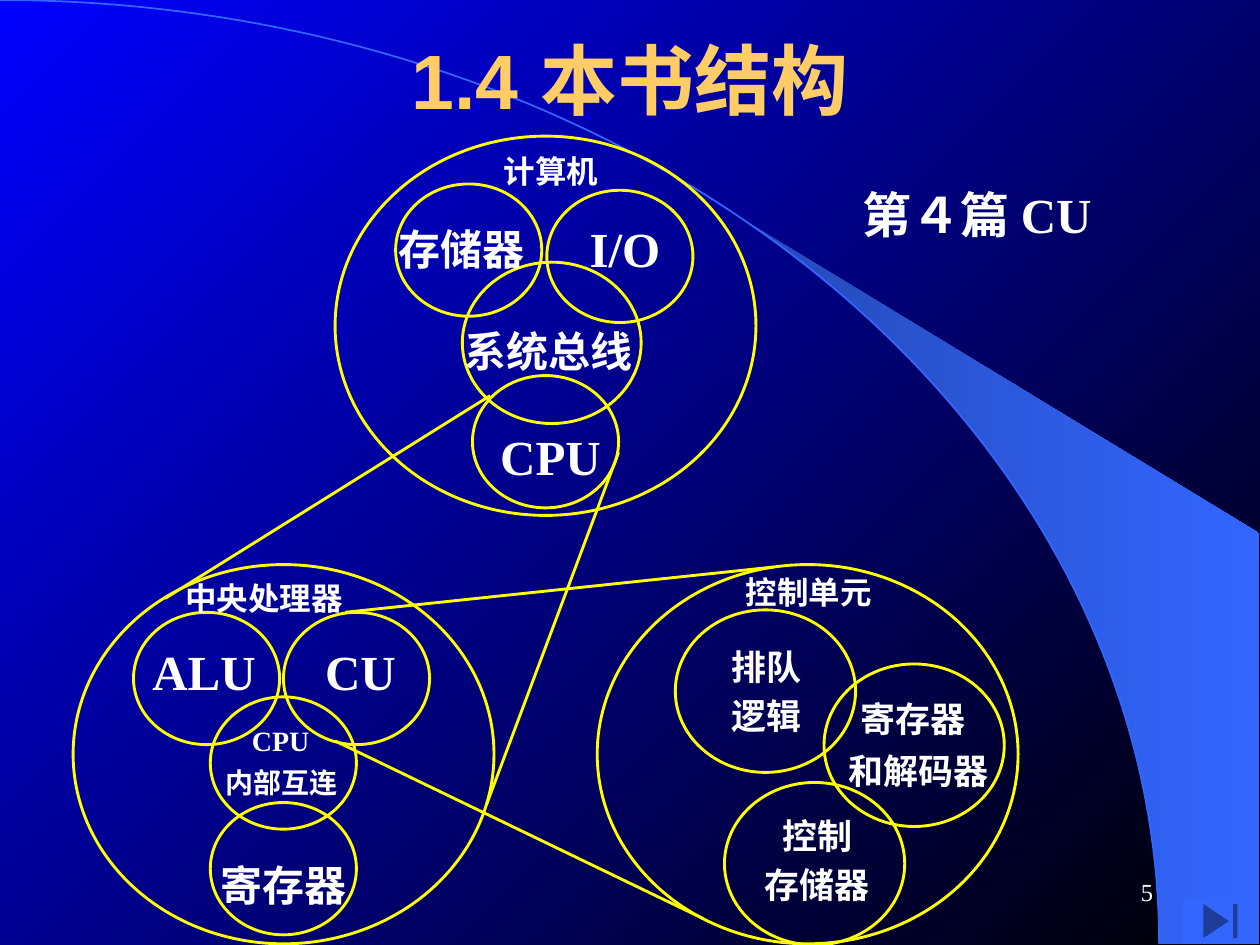
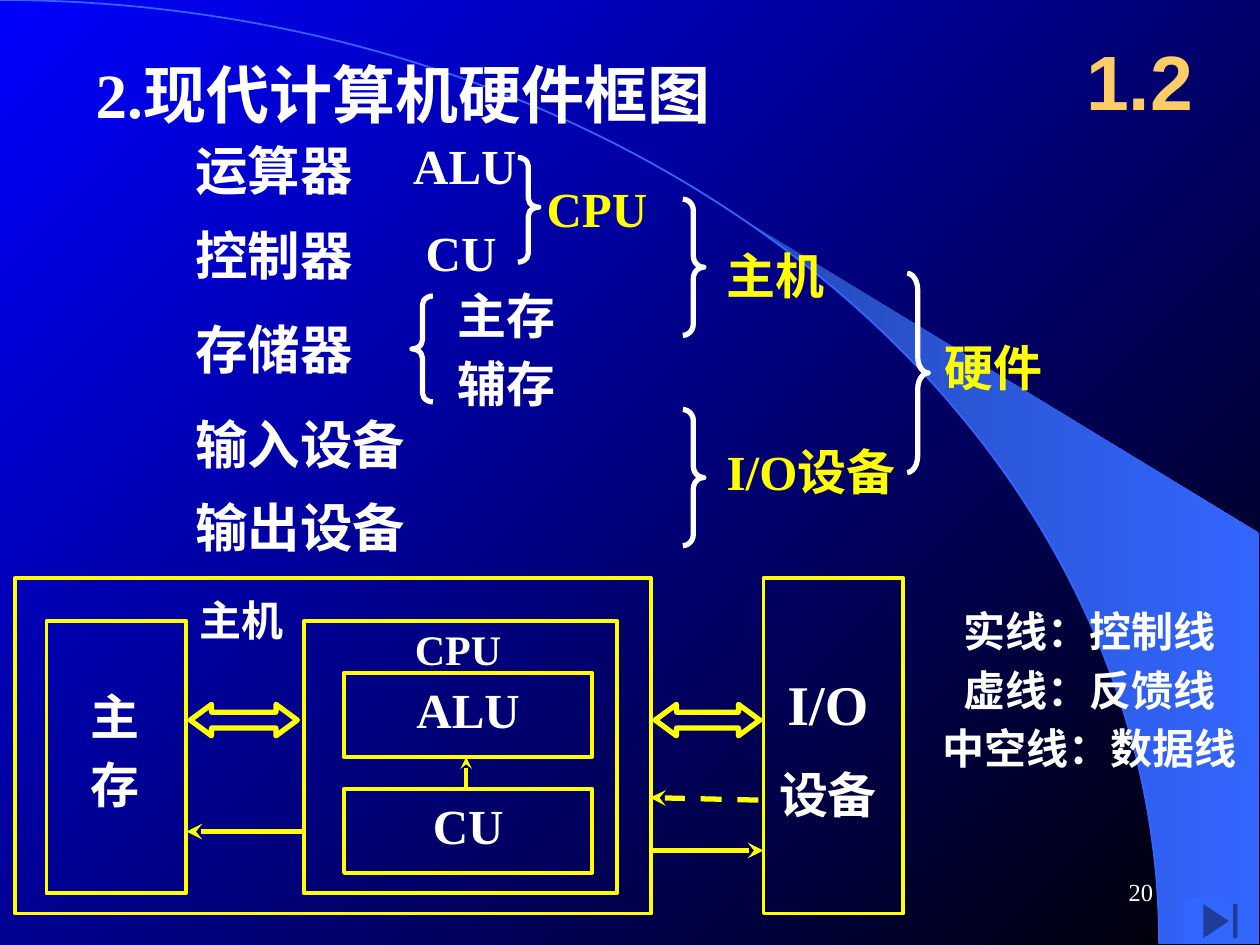
import math
from dataclasses import dataclass
from itertools import groupby
from typing import NamedTuple

from lxml import etree
from pptx import Presentation
from pptx import util as u
from pptx.dml import color
from pptx.enum import dml, shapes, text
from pptx.oxml import ns

BLUE = color.RGBColor(0x00, 0x00, 0xFF)
BLACK = color.RGBColor(0x00, 0x00, 0x00)
DEEP_BLUE = color.RGBColor(0x24, 0x49, 0xB6)
SKY_BLUE = color.RGBColor(0x33, 0x66, 0xFF)
GOLD = color.RGBColor(0xFF, 0xCC, 0x66)
YELLOW = color.RGBColor(0xFF, 0xFF, 0x00)
WHITE = color.RGBColor(0xFF, 0xFF, 0xFF)

SERIF = "Times New Roman"
SANS = "Arial"
HAN = "Noto Sans CJK SC"
HAN_LINE, LATIN_LINE = 1.32, 1.22

CENTER = text.PP_ALIGN.CENTER
LEFT = text.PP_ALIGN.LEFT
RIGHT = text.PP_ALIGN.RIGHT
KIND = shapes.MSO_SHAPE

SLIDE_W, SLIDE_H = 720, 540
ARC_W, ARC_H = 662.4, 539.3
RING_LINE, BLOCK_LINE, HEAVY_LINE = 1.63, 2.13, 3


class Frame(NamedTuple):
    x: float
    y: float
    w: float
    h: float

    def emu(self) -> list[int]:
        return [u.Pt(value) for value in self]


class Link(NamedTuple):
    x1: float
    y1: float
    x2: float
    y2: float
    width: float = RING_LINE
    arrow: bool = False
    dashed: bool = False


class Block(NamedTuple):
    frame: Frame
    caption: str = ""


class Brace(NamedTuple):
    kind: KIND
    x: float
    y: float
    h: float
    tip: float = 0.5


@dataclass(frozen=True)
class Label:
    frame: Frame
    lines: tuple[str, ...]
    size: float
    align: text.PP_ALIGN = LEFT
    ink: color.RGBColor = WHITE
    latin: str = SERIF
    bold: bool = True
    wrap: bool = False
    inset: bool = False
    middle: bool = False
    gap: float = 0.07


def title_label(frame: Frame, words: str) -> Label:
    return Label(frame, (words,), 44, CENTER, GOLD, SANS, wrap=True, inset=True, middle=True)


def write(shape, label: Label) -> None:
    box = shape.text_frame
    box.auto_size = text.MSO_AUTO_SIZE.NONE
    box.word_wrap = label.wrap
    box.vertical_anchor = text.MSO_ANCHOR.MIDDLE if label.middle else text.MSO_ANCHOR.TOP
    box.margin_left = box.margin_right = u.Pt(7.2 if label.inset else 0)
    box.margin_top = box.margin_bottom = u.Pt(3.6 if label.inset else 0)
    for index, line in enumerate(label.lines):
        para = box.add_paragraph() if index else box.paragraphs[0]
        para.alignment = label.align
        if index:
            para.space_before = u.Pt(label.size * label.gap)
        if not label.middle:
            factor = LATIN_LINE if line.isascii() else HAN_LINE
            para.line_spacing = u.Pt(label.size * factor)
        for ascii_only, letters in groupby(line, str.isascii):
            span = para.add_run()
            span.text = "".join(letters)
            span.font.size = u.Pt(label.size)
            span.font.bold = label.bold
            span.font.color.rgb = label.ink
            span.font.name = label.latin if ascii_only else HAN
            if not ascii_only:
                properties = span.font.name and span.text and span._r.get_or_add_rPr()
                etree.SubElement(properties, ns.qn("a:ea")).set("typeface", HAN)


def add_label(page, label: Label) -> None:
    write(page.shapes.add_textbox(*label.frame.emu()), label)


def set_title(page, label: Label) -> None:
    title = page.shapes.title
    title.left, title.top, title.width, title.height = label.frame.emu()
    write(title, label)


def add_outline(page, kind: KIND, frame: Frame, width: float, ink: color.RGBColor = YELLOW):
    shape = page.shapes.add_shape(kind, *frame.emu())
    shape.shadow.inherit = False
    shape.fill.background()
    shape.line.color.rgb = ink
    shape.line.width = u.Pt(width)
    return shape


def add_brace(page, brace: Brace) -> None:
    width = 12
    frame = Frame(brace.x, brace.y, width, brace.h)
    shape = add_outline(page, brace.kind, frame, HEAVY_LINE, WHITE)
    shape.adjustments[0] = brace.h / (12 * width)
    shape.adjustments[1] = brace.tip


def add_block(page, block: Block) -> None:
    shape = add_outline(page, KIND.RECTANGLE, block.frame, BLOCK_LINE)
    if block.caption:
        write(shape, Label(block.frame, (block.caption,), 28, CENTER, inset=True))


def add_link(page, link: Link) -> None:
    ends = [u.Pt(value) for value in link[:4]]
    connector = page.shapes.add_connector(shapes.MSO_CONNECTOR.STRAIGHT, *ends)
    connector.line.color.rgb = YELLOW
    connector.line.width = u.Pt(link.width)
    if link.dashed:
        connector.line.dash_style = dml.MSO_LINE.DASH
    properties = connector.element.spPr
    if link.arrow:
        etree.SubElement(properties.get_or_add_ln(), ns.qn("a:tailEnd")).set("type", "stealth")
    etree.SubElement(properties, ns.qn("a:effectLst"))


def set_gradient(fill, first: color.RGBColor, last: color.RGBColor, angle: float) -> None:
    fill.gradient()
    fill.gradient_angle = angle
    for stop, shade in zip(fill.gradient_stops, (first, last)):
        stop.color.rgb = shade


def arc_points(start_x: float, steps: int) -> list[tuple[int, int]]:
    start = math.asin(start_x / ARC_W)
    angles = [start + (math.pi / 2 - start) * step / steps for step in range(steps + 1)]
    return [(u.Pt(ARC_W * math.sin(a)), u.Pt(ARC_H * (1 - math.cos(a)))) for a in angles]


def add_outline_path(page, points: list[tuple[int, int]], close: bool):
    builder = page.shapes.build_freeform(*points[0])
    builder.add_line_segments(points[1:], close=close)
    shape = builder.convert_to_shape()
    shape.shadow.inherit = False
    return shape


def build_backdrop(deck, page) -> None:
    master = deck.slide_master
    set_gradient(master.background.fill, BLUE, BLACK, 315)
    corners = [(u.Pt(719.3), u.Pt(y)) for y in (ARC_H, 304.6)]
    sweep = add_outline_path(page, arc_points(424, 30) + corners, True)
    set_gradient(sweep.fill, DEEP_BLUE, SKY_BLUE, 0)
    sweep.line.fill.background()
    arc = add_outline_path(page, arc_points(0, 90), False)
    arc.fill.background()
    arc.line.color.rgb = SKY_BLUE
    arc.line.width = u.Pt(1)
    first_holder = master.placeholders[0].element
    for shape in (sweep, arc):
        first_holder.addprevious(shape.element)


def add_footer(page, number: str) -> None:
    button = page.shapes.add_shape(KIND.ACTION_BUTTON_END, *Frame(676.1, 513.4, 42.5, 25.9).emu())
    button.shadow.inherit = False
    button.fill.solid()
    button.fill.fore_color.rgb = SKY_BLUE
    button.line.fill.background()
    add_label(page, Label(Frame(516.2, 491.8, 149.8, 36), (number,), 14, RIGHT,
                          bold=False, wrap=True, inset=True, middle=True))


def build_structure(page) -> None:
    set_title(page, title_label(Frame(54, 0, 612, 90), "1.4 本书结构"))
    rings = {
        (240.5, 216.7): [(191.5, 77.8), (41.8, 322.6), (341.3, 322.6)],
        (83.5, 75.6): [(226.1, 105.1), (312.5, 108.7), (270, 214.6), (76.3, 349.9),
                       (162, 349.9), (120.2, 398.2), (120.2, 458.6)],
        (102.2, 92.2): [(264.2, 149.8)],
        (103, 92.9): [(385.9, 348.5), (470.9, 379.4), (414, 447.1)],
    }
    for size, corners in rings.items():
        for corner in corners:
            add_outline(page, KIND.OVAL, Frame(*corner, *size), RING_LINE)
    for link in (
        Link(280.1, 226.1, 94.3, 342),
        Link(353.5, 258.5, 277.9, 460.1),
        Link(191.5, 423.4, 401.8, 524.9),
        Link(197.3, 349.9, 442.1, 324),
    ):
        add_link(page, link)
    for label in (
        Label(Frame(288, 85, 54.7, 21.6), ("计算机",), 18),
        Label(Frame(227.5, 124.6, 72.7, 28.8), ("存储器",), 24),
        Label(Frame(327.6, 124.6, 59, 33.8), ("I/O",), 28, CENTER),
        Label(Frame(265.7, 182.9, 96.5, 28.8), ("系统总线",), 24),
        Label(Frame(285.8, 243.4, 57.6, 33.8), ("CPU",), 28, CENTER),
        Label(Frame(105.8, 329, 188.6, 21.6), ("中央处理器",), 18, wrap=True),
        Label(Frame(87.1, 365.8, 59, 33.8), ("ALU",), 28, CENTER),
        Label(Frame(185.8, 365.8, 40.3, 33.8), ("CU",), 28, CENTER),
        Label(Frame(144, 413.3, 102, 19.4), ("CPU",), 16, wrap=True),
        Label(Frame(128.9, 435.6, 75.6, 19.4), ("内部互连",), 16, wrap=True),
        Label(Frame(126, 488.2, 72.7, 28.8), ("寄存器",), 24),
        Label(Frame(426.2, 325.4, 104.4, 21.6), ("控制单元",), 18, wrap=True),
        Label(Frame(389.5, 366.5, 97.2, 52.6), ("排队", "逻辑"), 20, CENTER),
        Label(Frame(491.8, 396, 60.5, 23.8), ("寄存器",), 20),
        Label(Frame(484.6, 426.2, 80.6, 23.8), ("和解码器",), 20),
        Label(Frame(424.1, 463, 85.7, 52.6), ("控制", "存储器"), 20, CENTER),
        Label(Frame(486, 98.6, 214.6, 41), ("第４篇 CU",), 28, wrap=True, inset=True),
    ):
        add_label(page, label)


def build_hardware(page) -> None:
    set_title(page, Label(Frame(47.5, 23.8, 456.5, 50.4), ("2.现代计算机硬件框图",), 36,
                          wrap=True, inset=True))
    add_label(page, title_label(Frame(606.2, 12.2, 90, 66.2), "1.2"))
    components = {"运算器": 72, "控制器": 120.2, "存储器": 174.2, "输入设备": 228.2, "输出设备": 275.8}
    for name, top in components.items():
        add_label(page, Label(Frame(104.4, top, 226, 43.2), (name,), 30, wrap=True, inset=True))
    for brace in (
        Brace(KIND.LEFT_BRACE, 235.4, 169.2, 60.5),
        Brace(KIND.RIGHT_BRACE, 295.9, 90, 59.8, 0.475),
        Brace(KIND.RIGHT_BRACE, 390.2, 113.8, 77.8),
        Brace(KIND.RIGHT_BRACE, 390.2, 234, 77.8),
        Brace(KIND.RIGHT_BRACE, 518.4, 156.2, 113.8),
    ):
        add_brace(page, brace)
    for block in (
        Block(Frame(8.6, 330.5, 363.6, 191.5)),
        Block(Frame(436.3, 330.5, 79.9, 191.5)),
        Block(Frame(26.6, 355, 79.9, 155.5)),
        Block(Frame(173.5, 355, 179.3, 155.5)),
        Block(Frame(196.6, 384.5, 141.8, 48.2), "ALU"),
        Block(Frame(196.6, 450.7, 141.8, 48.2), "CU"),
    ):
        add_block(page, block)
    for left, width in ((108.7, 61.2), (374.4, 59.8)):
        bus = add_outline(page, KIND.LEFT_RIGHT_ARROW, Frame(left, 402.5, width, 18), HEAVY_LINE)
        bus.adjustments[0] = 0.5
        bus.adjustments[1] = 0.68
    for link in (
        Link(266.4, 450.7, 266.4, 432.7, 2.25, True),
        Link(372.2, 486, 436.3, 486, HEAVY_LINE, True),
        Link(172.8, 475.2, 106.6, 475.2, HEAVY_LINE, True),
        Link(433.4, 457.2, 371.5, 455.8, HEAVY_LINE, True, True),
    ):
        add_link(page, link)
    for label in (
        Label(Frame(229, 73.4, 73.4, 41), ("ALU",), 28, inset=True),
        Label(Frame(236.2, 123.1, 54.7, 41), ("CU",), 28, inset=True),
        Label(Frame(254.2, 156.2, 70.6, 81.4), ("主存", "辅存"), 28, inset=True),
        Label(Frame(305.3, 97.9, 72, 41), ("CPU",), 28, ink=YELLOW, inset=True),
        Label(Frame(408.2, 133.2, 70.6, 41), ("主机",), 28, ink=YELLOW, inset=True),
        Label(Frame(408.2, 245.5, 139, 41), ("I/O设备",), 28, ink=YELLOW, wrap=True, inset=True),
        Label(Frame(532.8, 185.8, 70.6, 41), ("硬件",), 28, ink=YELLOW, inset=True),
        Label(Frame(113.8, 337, 48.2, 28.8), ("主机",), 24),
        Label(Frame(236.9, 355.7, 49.7, 28.8), ("CPU",), 24, CENTER),
        Label(Frame(44.6, 385.2, 42.5, 81.4), ("主", "存"), 28, CENTER, inset=True),
        Label(Frame(434.2, 378.7, 77.8, 96.5), ("I/O",), 32, CENTER, inset=True),
        Label(Frame(434.2, 430.2, 77.8, 45), ("设备",), 28, CENTER, inset=True),
        Label(Frame(529.9, 339.8, 185, 105.8),
              ("实线：控制线", "虚线：反馈线", "中空线：数据线"), 24, CENTER, inset=True),
    ):
        add_label(page, label)


def main() -> None:
    deck = Presentation()
    deck.slide_width, deck.slide_height = u.Pt(SLIDE_W), u.Pt(SLIDE_H)
    title_only = deck.slide_layouts[5]
    pages = [(build_structure, "5"), (build_hardware, "20")]
    for index, (build, number) in enumerate(pages):
        page = deck.slides.add_slide(title_only)
        if index == 0:
            build_backdrop(deck, page)
        build(page)
        add_footer(page, number)
    deck.save("out.pptx")


if __name__ == "__main__":
    main()
